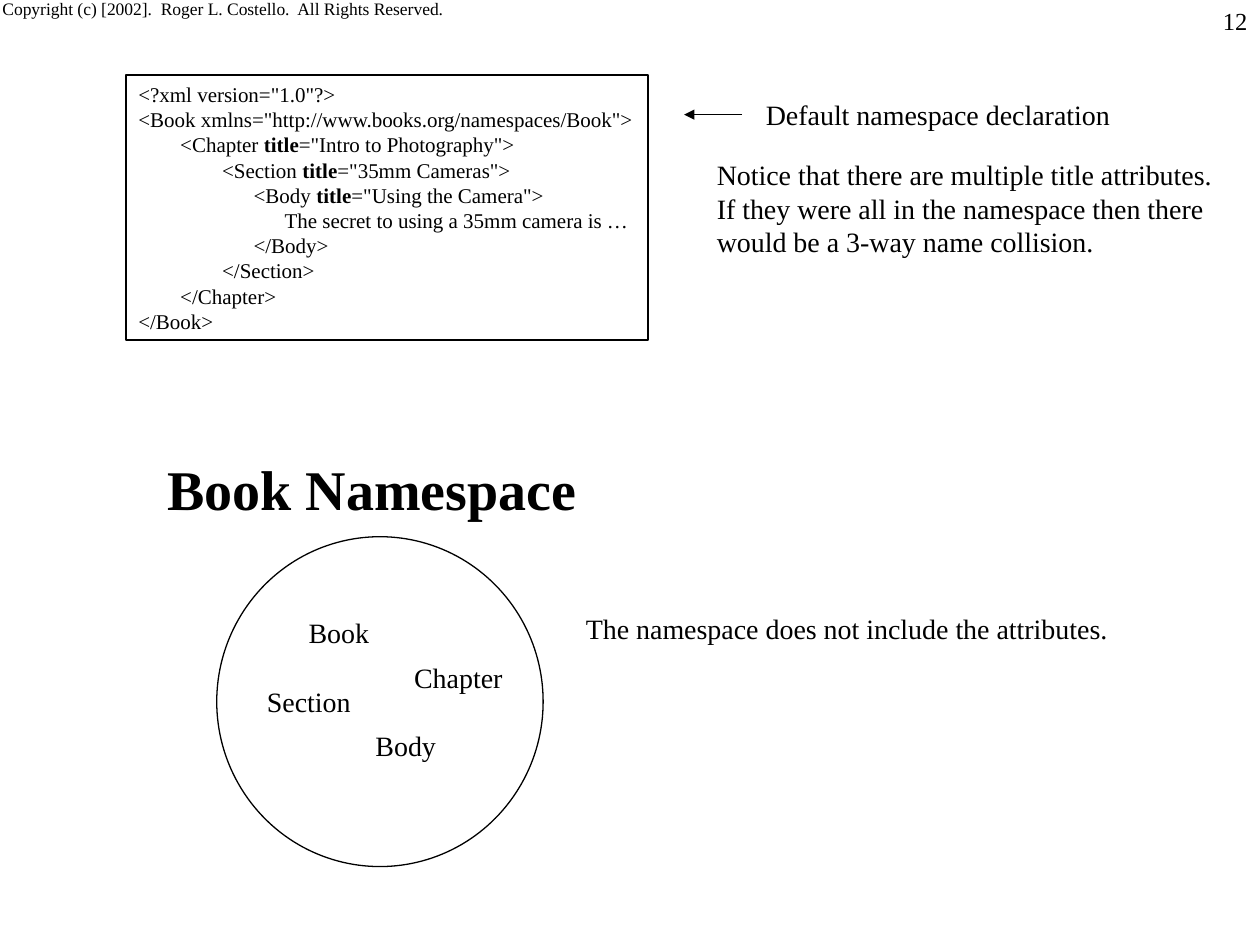
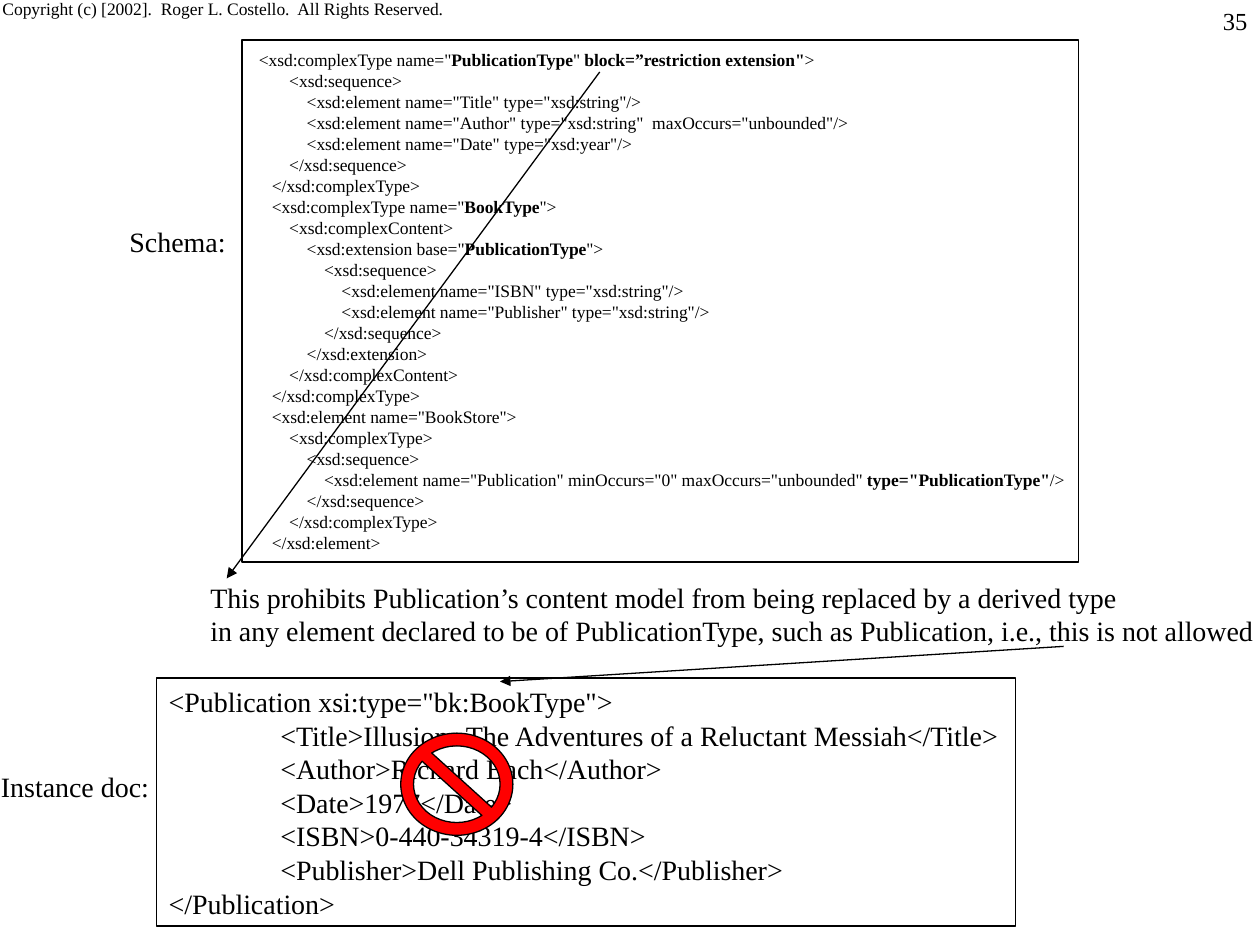
from dataclasses import dataclass
from pptx import Presentation
from pptx import util as u
from pptx.dml.color import RGBColor
from pptx.enum import shapes, text
from pptx.oxml.ns import qn
from lxml import etree


@dataclass(frozen=True)
class Theme:
    font: str = "Times New Roman"
    ink: RGBColor = RGBColor(0, 0, 0)
    paper: RGBColor = RGBColor(255, 255, 255)
    forbidden: RGBColor = RGBColor(255, 0, 0)
    title: int = 32
    body: int = 16
    number: int = 14
    code: int = 12
    small: int = 10
    leading: float = 1.2
    line: float = 0.75


THEME = Theme()
BOLD = "**"
FRAME_FORMAT = {
    "word_wrap": False,
    "auto_size": text.MSO_AUTO_SIZE.NONE,
    "vertical_anchor": text.MSO_ANCHOR.MIDDLE,
    "margin_left": u.Cm(0.25),
    "margin_right": u.Cm(0.25),
    "margin_top": u.Cm(0.13),
    "margin_bottom": u.Cm(0.13),
}

COPYRIGHT = "Copyright (c) [2002].  Roger L. Costello.  All Rights Reserved."
COPYRIGHT_BOX = (-0.2, -0.64, 9.63, 1.16)
NUMBER_BOX = (20.12, 0, 5.28, 0.85)

BOOK_XML = """<?xml version="1.0"?>
<Book xmlns="http://www.books.org/namespaces/Book">
        <Chapter **title**="Intro to Photography">
                <Section **title**="35mm Cameras">
                      <Body **title**="Using the Camera">
                            The secret to using a 35mm camera is …
                      </Body>
                </Section>
        </Chapter>
</Book>"""

PUBLICATION_TYPE = """ <xsd:complexType name="**PublicationType**" **block=”restriction extension"**>
        <xsd:sequence>
            <xsd:element name="Title" type="xsd:string"/>
            <xsd:element name="Author" type="xsd:string"  maxOccurs="unbounded"/>
            <xsd:element name="Date" type="xsd:year"/>
        </xsd:sequence>
    </xsd:complexType>"""

BOOK_TYPE = """    <xsd:complexType name="**BookType**">
        <xsd:complexContent>
            <xsd:extension base="**PublicationType**">
                <xsd:sequence>
                    <xsd:element name="ISBN" type="xsd:string"/>
                    <xsd:element name="Publisher" type="xsd:string"/>
                </xsd:sequence>
            </xsd:extension>
        </xsd:complexContent>
    </xsd:complexType>"""

BOOK_STORE = """    <xsd:element name="BookStore">
        <xsd:complexType>
            <xsd:sequence>
                <xsd:element name="Publication" minOccurs="0" maxOccurs="unbounded"** type="PublicationType"**/>
            </xsd:sequence>
        </xsd:complexType>
    </xsd:element>"""

SCHEMA_XML = "\n".join((PUBLICATION_TYPE, BOOK_TYPE, BOOK_STORE))

INSTANCE_XML = """<Publication xsi:type="bk:BookType">
                <Title>Illusions The Adventures of a Reluctant Messiah</Title>
                <Author>Richard Bach</Author>
                <Date>1977</Date>
                <ISBN>0-440-34319-4</ISBN>
                <Publisher>Dell Publishing Co.</Publisher>
</Publication>"""

SLIDES = [
    {
        "number": "12",
        "title": (BOLD + "Book Namespace" + BOLD, (3.12, 9.02, 8.76, 1.63)),
        "listings": [(BOOK_XML, (2.54, 1.52, 10.52, 5.33), THEME.code, 1)],
        "circle": (4.37, 10.82, 6.58, 6.65),
        "notes": [
            ("Book", (5.97, 12.27, 1.73, 0.94)),
            ("Section", (5.13, 13.67, 2.18, 0.94)),
            ("Body", (7.32, 14.55, 1.73, 0.94)),
            ("Chapter", (8.1, 13.18, 2.29, 0.94)),
            ("Notice that there are multiple title attributes.\n"
             "If they were all in the namespace then there\n"
             "would be a 3-way name collision.", (14.2, 3.05, 10.49, 2.29)),
            ("The namespace does not include the attributes.", (11.56, 12.19, 11.02, 0.94)),
            ("Default namespace declaration", (15.19, 1.83, 7.44, 0.94)),
        ],
        "arrows": [(14.96, 2.31, 13.79, 2.31)],
    },
    {
        "number": "35",
        "listings": [
            (SCHEMA_XML, (4.88, 0.81, 16.87, 10.52), THEME.small, THEME.line),
            (INSTANCE_XML, (3.15, 13.67, 17.32, 5), THEME.body, THEME.line),
        ],
        "notes": [
            ("Schema:", (2.36, 4.39, 2.44, 0.94)),
            ("Instance doc:", (-0.23, 15.39, 3.48, 0.94)),
            ("This prohibits Publication’s content model from being replaced by a derived type\n"
             "in any element declared to be of PublicationType, such as Publication, "
             "i.e., this is not allowed", (3.99, 11.56, 21.59, 1.63)),
        ],
        "arrows": [(12.09, 1.45, 4.57, 11.66), (21.44, 13.03, 10.08, 13.74)],
        "no_symbol": (8.08, 14.78, 2.26, 2.06),
    },
]


def cm(lengths):
    return [u.Cm(length) for length in lengths]


def write(shape, content, size, align=text.PP_ALIGN.LEFT, **changes):
    frame = shape.text_frame
    for name, value in {**FRAME_FORMAT, **changes}.items():
        setattr(frame, name, value)
    paragraph_format = {
        "alignment": align,
        "line_spacing": u.Pt(size * THEME.leading),
        "space_before": u.Pt(0),
    }
    for index, line in enumerate(content.split("\n")):
        paragraph = frame.add_paragraph() if index else frame.paragraphs[0]
        for name, value in paragraph_format.items():
            setattr(paragraph, name, value)
        for part, words in enumerate(line.split(BOLD)):
            if not words:
                continue
            run = paragraph.add_run()
            run.text = words
            run.font.color.rgb = THEME.ink
            font_format = {"name": THEME.font, "size": u.Pt(size), "bold": part % 2 == 1}
            for name, value in font_format.items():
                setattr(run.font, name, value)


def add_note(slide, content, box, size=THEME.body, **changes):
    write(slide.shapes.add_textbox(*cm(box)), content, size, **changes)


def add_outline(slide, preset, box, fill=None, width=THEME.line):
    outline = slide.shapes.add_shape(preset, *cm(box))
    outline.shadow.inherit = False
    if fill is None:
        outline.fill.background()
    else:
        outline.fill.solid()
        outline.fill.fore_color.rgb = fill
    outline.line.color.rgb = THEME.ink
    outline.line.width = u.Pt(width)
    return outline


def add_arrow(slide, ends):
    arrow = slide.shapes.add_connector(shapes.MSO_CONNECTOR.STRAIGHT, *cm(ends))
    arrow.line.color.rgb = THEME.ink
    arrow.line.width = u.Pt(THEME.line)
    properties = arrow._element.spPr
    etree.SubElement(properties.find(qn("a:ln")), qn("a:tailEnd"), type="triangle")
    etree.SubElement(properties, qn("a:effectLst"))


def place_title(slide, content, box):
    title = slide.shapes.title
    for name, length in zip(("left", "top", "width", "height"), cm(box)):
        setattr(title, name, length)
    write(title, content, THEME.title)


def build_slide(deck, content):
    layout = deck.slide_layouts.get_by_name("Title Only" if "title" in content else "Blank")
    slide = deck.slides.add_slide(layout)
    preset = shapes.MSO_SHAPE
    add_note(slide, COPYRIGHT, COPYRIGHT_BOX, THEME.small,
             vertical_anchor=text.MSO_ANCHOR.BOTTOM)
    if "title" in content:
        place_title(slide, *content["title"])
    for code, box, size, width in content["listings"]:
        write(add_outline(slide, preset.RECTANGLE, box, width=width), code, size)
    if "circle" in content:
        add_outline(slide, preset.OVAL, content["circle"], THEME.paper)
    for note, box in content["notes"]:
        add_note(slide, note, box)
    for ends in content["arrows"]:
        add_arrow(slide, ends)
    if "no_symbol" in content:
        sign = add_outline(slide, preset.NO_SYMBOL, content["no_symbol"], THEME.forbidden)
        sign.adjustments[0] = 0.125
    add_note(slide, content["number"], NUMBER_BOX, THEME.number,
             align=text.PP_ALIGN.RIGHT, word_wrap=True)


def main():
    deck = Presentation()
    deck.slide_width, deck.slide_height = cm((25.4, 19.05))
    for content in SLIDES:
        build_slide(deck, content)
    deck.save("out.pptx")


if __name__ == "__main__":
    main()
